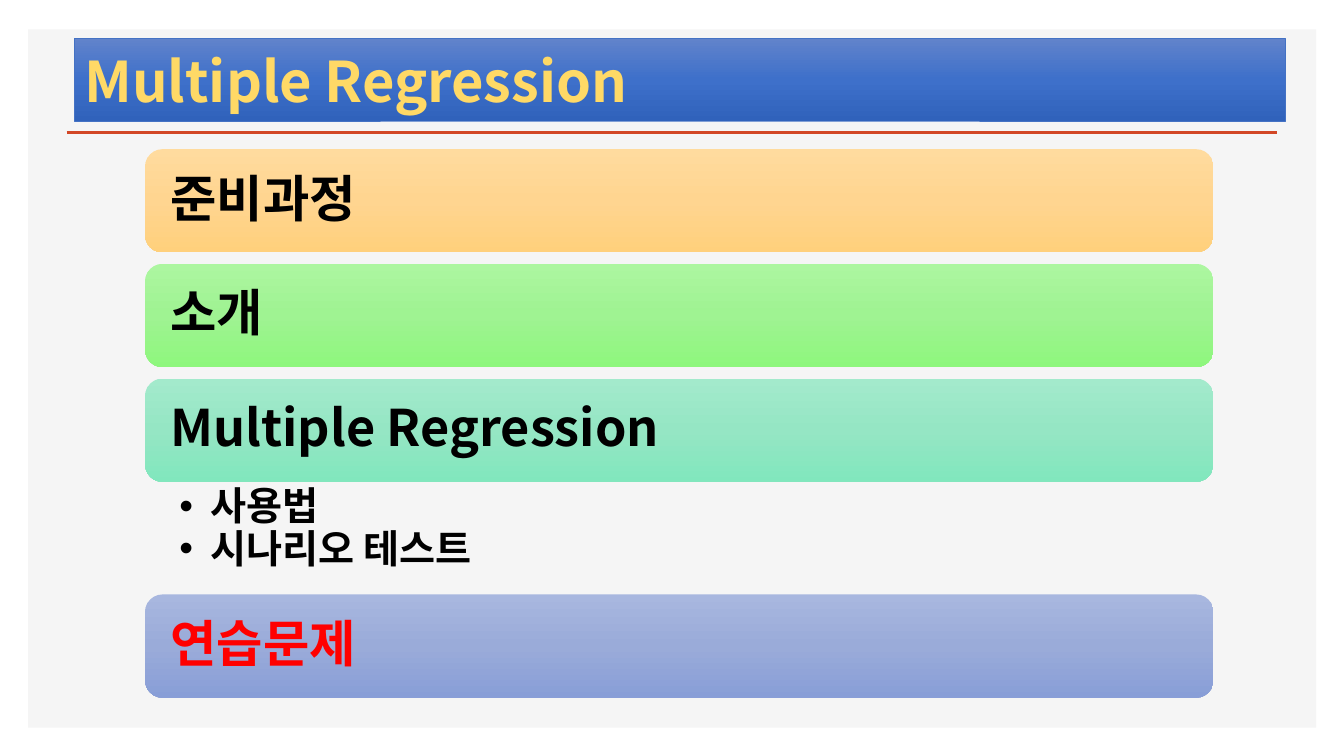
import copy
import dataclasses

import pptx
import pptx.dml.color
import pptx.enum.shapes
import pptx.enum.text
import pptx.oxml.ns
import pptx.util
from lxml import etree

Cm = pptx.util.Cm
Pt = pptx.util.Pt
qn = pptx.oxml.ns.qn


@dataclasses.dataclass(frozen=True)
class Theme:
    font: str = "Noto Sans CJK KR"
    title_size: int = 40
    bar_size: int = 36
    list_size: int = 28
    panel: str = "F5F5F5"
    rule: str = "D24726"
    title_text: str = "FFD966"
    title_line: str = "4472C4"
    title_fill: tuple = ("6183CB", "3E70CA", "3062BB")
    text: str = "000000"
    accent: str = "FF0000"
    orange: tuple = ("FFDB9E", "FFD590", "FFD07C")
    green: tuple = ("ACF6A0", "9FF392", "8EF77D")
    mint: tuple = ("A3EACC", "95E6C4", "81E7BD")
    blue: tuple = ("A8B7DF", "9AABD9", "889ED7")


def rgb(color):
    return pptx.dml.color.RGBColor.from_string(color)


class AgendaSlide:
    def __init__(self, prs, theme):
        self.theme = theme
        self.slide = prs.slides.add_slide(prs.slide_layouts[1])
        self.shapes = self.slide.shapes

    def place(self, sp, left, top, width, height):
        sp.left, sp.top, sp.width, sp.height = map(Cm, (left, top, width, height))

    def gradient(self, sp, colors):
        sp.fill.gradient()
        sp.fill.gradient_angle = 270
        stops = sp._element.spPr.find(".//" + qn("a:gsLst"))
        stops.insert(1, copy.deepcopy(stops[0]))
        for stop, color, position in zip(sp.fill.gradient_stops, colors, (0, 0.5, 1)):
            stop.color.rgb = rgb(color)
            stop.position = position

    def set_text(self, sp, text, size, color, anchor, insets, line_spacing=0.9):
        tf = sp.text_frame
        tf.text = text
        tf.word_wrap = True
        tf.auto_size = pptx.enum.text.MSO_AUTO_SIZE.NONE
        tf.vertical_anchor = anchor
        tf.margin_left, tf.margin_top, tf.margin_right, tf.margin_bottom = map(Cm, insets)
        for p in tf.paragraphs:
            p.alignment = pptx.enum.text.PP_ALIGN.LEFT
            p.line_spacing = line_spacing
            p.space_before = p.space_after = Pt(0)
            for r in p.runs:
                r.font.name = self.theme.font
                r.font.size = Pt(size)
                r.font.bold = True
                r.font.color.rgb = rgb(color)
                ea = etree.SubElement(r._r.get_or_add_rPr(), qn("a:ea"))
                ea.set("typeface", self.theme.font)

    def panel(self, left, top, width, height):
        kind = pptx.enum.shapes.MSO_SHAPE.RECTANGLE
        sp = self.shapes.add_shape(kind, *map(Cm, (left, top, width, height)))
        sp.shadow.inherit = False
        sp.fill.solid()
        sp.fill.fore_color.rgb = rgb(self.theme.panel)
        sp.line.fill.background()
        self.shapes._spTree.insert(2, sp._element)

    def rule(self, left, right, y):
        kind = pptx.enum.shapes.MSO_CONNECTOR.STRAIGHT
        line = self.shapes.add_connector(kind, *map(Cm, (left, y, right, y)))
        line.line.color.rgb = rgb(self.theme.rule)
        line.line.width = Pt(2)
        etree.SubElement(line._element.spPr, qn("a:effectLst"))

    def title(self, text, *box):
        sp = self.shapes.title
        self.place(sp, *box)
        self.gradient(sp, self.theme.title_fill)
        sp.line.color.rgb = rgb(self.theme.title_line)
        sp.line.width = Pt(0.5)
        self.set_text(sp, text, self.theme.title_size, self.theme.title_text,
                      pptx.enum.text.MSO_ANCHOR.MIDDLE, (0.25, 0.13, 0.25, 0.13), 1.0)

    def bar(self, text, colors, text_color, *box):
        kind = pptx.enum.shapes.MSO_SHAPE.ROUNDED_RECTANGLE
        sp = self.shapes.add_shape(kind, *map(Cm, box))
        sp.shadow.inherit = False
        self.gradient(sp, colors)
        sp.line.fill.background()
        self.set_text(sp, text, self.theme.bar_size, text_color,
                      pptx.enum.text.MSO_ANCHOR.MIDDLE, (0.51, 0.51, 0.51, 0.51))

    def bullets(self, items, *box):
        sp = self.slide.placeholders[1]
        self.place(sp, *box)
        self.set_text(sp, "\n".join(items), self.theme.list_size, self.theme.text,
                      pptx.enum.text.MSO_ANCHOR.TOP, (0.86, 0.13, 0.71, 0.13))
        for p in sp.text_frame.paragraphs:
            p.level = 1
            pPr = p._p.get_or_add_pPr()
            pPr.set("marL", str(Cm(0.79)))
            pPr.set("indent", str(-Cm(0.79)))
            etree.SubElement(pPr, qn("a:buChar")).set("char", "•")


def main():
    prs = pptx.Presentation()
    prs.slide_width, prs.slide_height = Cm(33.87), Cm(19.05)
    theme = Theme()
    agenda = AgendaSlide(prs, theme)
    agenda.panel(0.71, 0.74, 32.46, 17.6)
    agenda.rule(1.68, 32.18, 3.33)
    agenda.title("Multiple Regression", 1.88, 0.97, 30.51, 2.08)

    left, top, width = 3.66, 3.76, 26.92
    bar_height, gap, list_height = 2.6, 0.29, 2.84
    sections = [
        ("준비과정", theme.orange, theme.text, []),
        ("소개", theme.green, theme.text, []),
        ("Multiple Regression", theme.mint, theme.text, ["사용법", "시나리오 테스트"]),
        ("연습문제", theme.blue, theme.accent, []),
    ]
    for text, colors, text_color, items in sections:
        agenda.bar(text, colors, text_color, left, top, width, bar_height)
        top += bar_height
        if items:
            agenda.bullets(items, left, top, width, list_height)
        top += list_height if items else gap

    prs.save("out.pptx")


if __name__ == "__main__":
    main()
